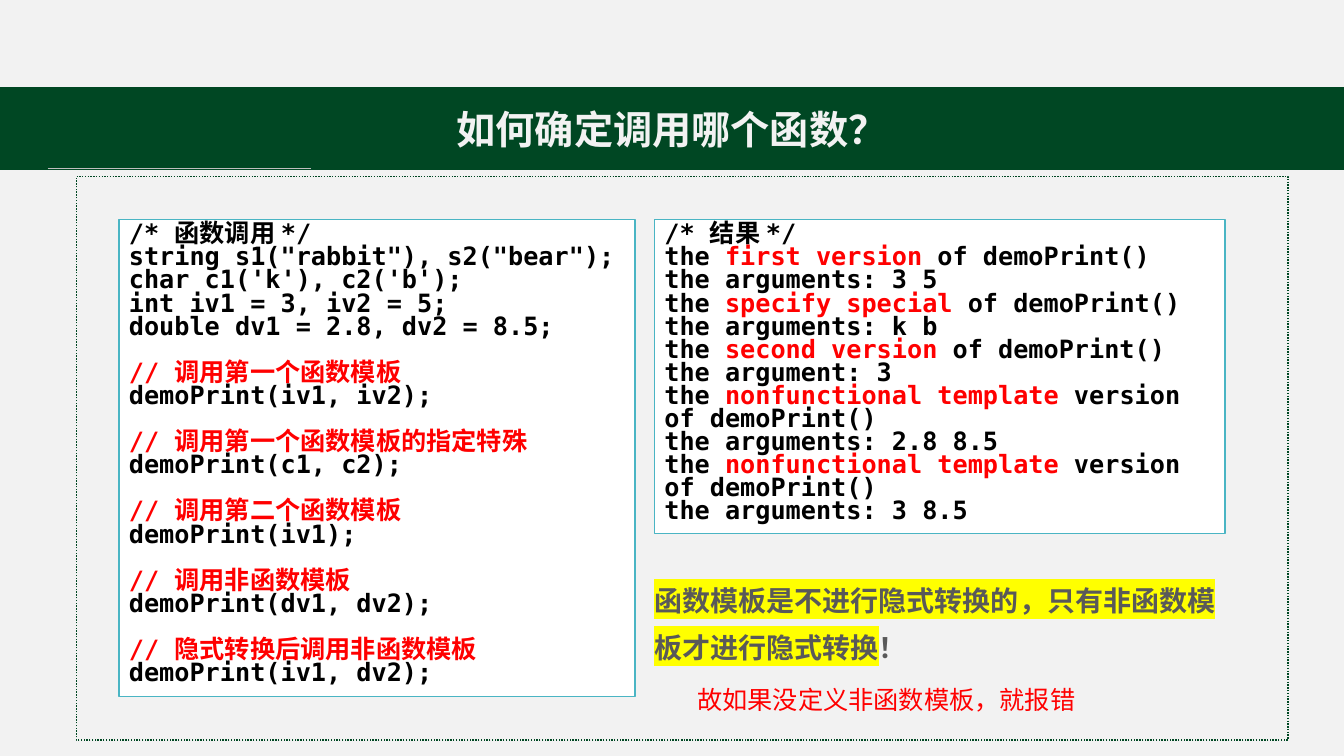
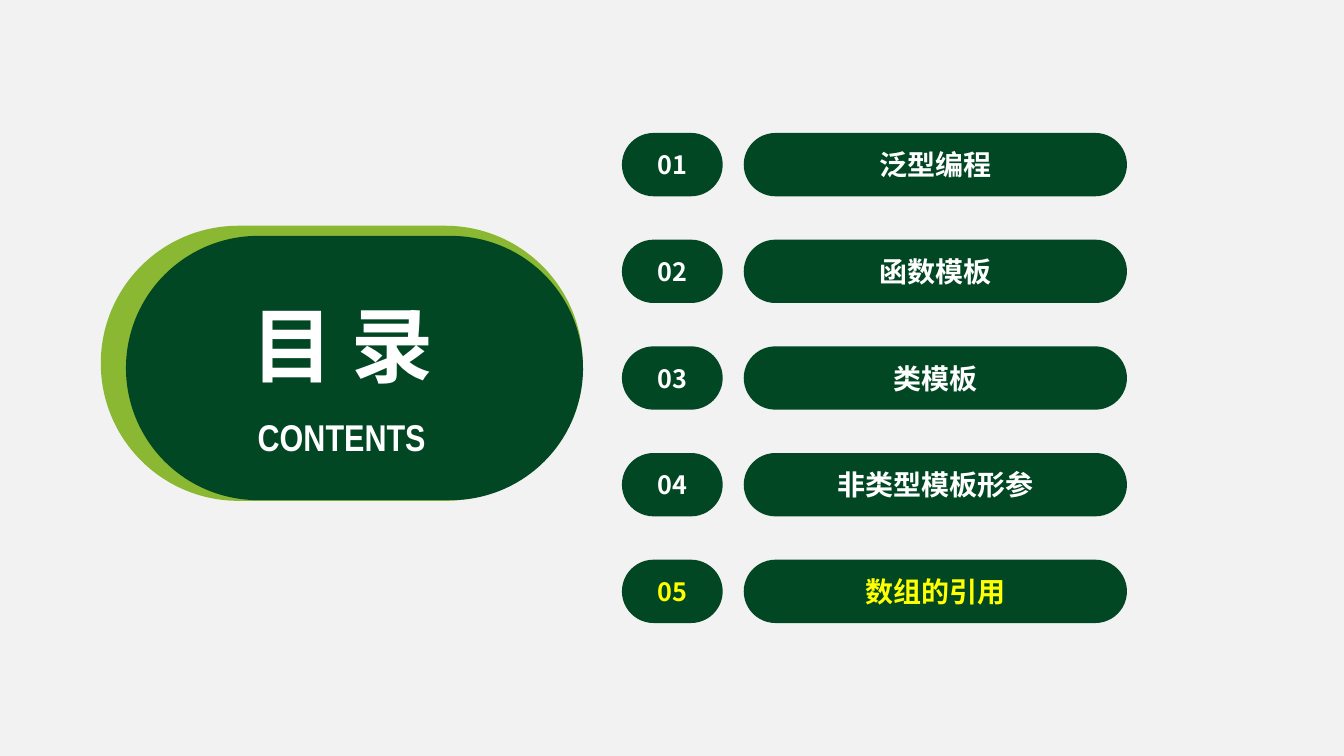
from lxml.etree import SubElement
from pptx import Presentation
from pptx.dml.color import RGBColor
from pptx.enum.dml import MSO_LINE_DASH_STYLE as DASH
from pptx.enum.shapes import MSO_CONNECTOR as CONN, MSO_SHAPE as SHAPE
from pptx.enum.text import MSO_ANCHOR as ANCHOR, PP_ALIGN as ALIGN
from pptx.oxml.ns import qn
from pptx.util import Pt

SANS, MONO, NARROW = "Noto Sans CJK SC", "DejaVu Sans Mono", "Arial Narrow"
PAPER, WHITE, BLACK, GRAY = "F2F2F2", "FFFFFF", "000000", "595959"
BAND, PILL, LIME, TEAL, RULE = "004723", "014723", "8AB833", "4AB5C4", "BFBFBF"
RED, YELLOW = "FF0000", "FFFF00"
WIDTH, HEIGHT = 960, 540

CALLS = """/* 函数调用 */
string s1("rabbit"), s2("bear");
char c1('k'), c2('b');
int iv1 = 3, iv2 = 5;
double dv1 = 2.8, dv2 = 8.5;
// 调用第一个函数模板
demoPrint(iv1, iv2);
// 调用第一个函数模板的指定特殊
demoPrint(c1, c2);
// 调用第二个函数模板
demoPrint(iv1);
// 调用非函数模板
demoPrint(dv1, dv2);
// 隐式转换后调用非函数模板
demoPrint(iv1, dv2);"""

# Text between bars is set in red.
RESULTS = """/* 结果 */
the |first version| of demoPrint()
the arguments: 3 5
the |specify special| of demoPrint()
the arguments: k b
the |second version| of demoPrint()
the argument: 3
the |nonfunctional template| version of demoPrint()
the arguments: 2.8 8.5
the |nonfunctional template| version of demoPrint()
the arguments: 3 8.5"""

TOPICS = ["泛型编程", "函数模板", "类模板", "非类型模板形参", "数组的引用"]


def rgb(color):
    return RGBColor.from_string(color)


class Deck:
    def __init__(self):
        self.prs = Presentation()
        self.prs.slide_width, self.prs.slide_height = Pt(WIDTH), Pt(HEIGHT)
        self.s = None

    def slide(self):
        self.s = self.prs.slides.add_slide(self.prs.slide_layouts[6])
        fill = self.s.background.fill
        fill.solid()
        fill.fore_color.rgb = rgb(PAPER)

    def shape(self, kind, x, y, w, h, fill=None, line=None, dash=None):
        sp = self.s.shapes.add_shape(kind, Pt(x), Pt(y), Pt(w), Pt(h))
        sp.shadow.inherit = False
        if fill:
            sp.fill.solid()
            sp.fill.fore_color.rgb = rgb(fill)
        else:
            sp.fill.background()
        if line:
            sp.line.color.rgb = rgb(line)
            sp.line.width = Pt(1)
            sp.line.dash_style = dash
        else:
            sp.line.fill.background()
        return sp

    def pill(self, x, y, w, h, fill=PILL):
        sp = self.shape(SHAPE.ROUNDED_RECTANGLE, x, y, w, h, fill)
        sp.adjustments[0] = 0.5
        return sp

    def rule(self, x1, x2, y):
        line = self.s.shapes.add_connector(CONN.STRAIGHT, Pt(x1), Pt(y), Pt(x2), Pt(y))
        line.line.color.rgb = rgb(RULE)
        line.line.width = Pt(0.5)
        SubElement(line._element.spPr, qn("a:effectLst"))

    def style(self, p, size, color, font=SANS, bold=True, align=ALIGN.CENTER):
        """Set one paragraph's font, with the sans face for Chinese."""
        p.alignment = align
        p.font.size, p.font.bold, p.font.name = Pt(size), bold, font
        p.font.color.rgb = rgb(color)
        SubElement(p._p.pPr.find(qn("a:defRPr")), qn("a:ea"), typeface=SANS)

    def label(self, sp, text, size, color):
        sp.text_frame.vertical_anchor = ANCHOR.MIDDLE
        p = sp.text_frame.paragraphs[0]
        p.text = text
        self.style(p, size, color)

    def text(self, x, y, w, h, text, size, color, wrap=True, **style):
        tf = self.s.shapes.add_textbox(Pt(x), Pt(y), Pt(w), Pt(h)).text_frame
        tf.word_wrap = wrap
        p = tf.paragraphs[0]
        p.text = text
        self.style(p, size, color, **style)
        return tf

    def highlight(self, r, color):
        mark = SubElement(r._r.get_or_add_rPr(), qn("a:highlight"))
        SubElement(mark, qn("a:srgbClr"), val=color)

    def title(self, text):
        band = self.shape(SHAPE.RECTANGLE, 0, 62.5, WIDTH, 58.5, BAND, BAND)
        self.label(band, text, 28, PAPER)
        self.rule(34, 222.5, 120.25)
        self.shape(SHAPE.RECTANGLE, 54.5, 126, 865.5, 402.5, line=BAND,
                   dash=DASH.ROUND_DOT)

    def code(self, x, y, w, h, source):
        """Framed listing: line comments are red and open a new group."""
        tf = self.shape(SHAPE.RECTANGLE, x, y, w, h, WHITE, TEAL).text_frame
        tf.word_wrap = True
        tf.vertical_anchor = ANCHOR.TOP
        for i, line in enumerate(source.split("\n")):
            p = tf.add_paragraph() if i else tf.paragraphs[0]
            p.line_spacing = Pt(16.5)
            comment = line.startswith("//")
            if comment:
                p.space_before = Pt(16.5)
            for j, part in enumerate(line.split("|")):
                r = p.add_run()
                r.text = part
                if j % 2:
                    r.font.color.rgb = rgb(RED)
            self.style(p, 18, RED if comment else BLACK, MONO, align=ALIGN.LEFT)


def add_call_slide(deck):
    deck.slide()
    deck.title("如何确定调用哪个函数？")
    deck.code(85, 157, 368.5, 340.5, CALLS)
    deck.code(467.5, 157, 407.5, 224, RESULTS)

    tf = deck.text(467.5, 407, 407.5, 67.5,
                   "函数模板是不进行隐式转换的，只有非函数模板才进行隐式转换",
                   20, GRAY, align=ALIGN.LEFT)
    tf.margin_left = tf.margin_right = tf.margin_top = tf.margin_bottom = 0
    p = tf.paragraphs[0]
    p.line_spacing = 1.4
    deck.highlight(p.runs[0], YELLOW)
    p.add_run().text = "！"

    deck.text(491, 485.5, 293, 29, "故如果没定义非函数模板，就报错", 18, RED,
              bold=False, align=ALIGN.LEFT)


def add_contents_slide(deck):
    deck.slide()
    deck.pill(72, 161.25, 344.25, 196.5, LIME)
    deck.pill(90, 168.5, 326.5, 188.75)
    for i, topic in enumerate(TOPICS):
        y = 95 + 76.2 * i
        color = YELLOW if topic == TOPICS[-1] else WHITE
        deck.label(deck.pill(444.25, y, 72, 45.25), f"{i + 1:02}", 18, color)
        deck.label(deck.pill(531.25, y, 273.75, 45.25), topic, 20, color)
    deck.text(162.75, 292.25, 162.75, 39.5, "CONTENTS", 26.6, WHITE, wrap=False,
              font=NARROW)
    deck.text(169.25, 206.75, 150.5, 78.5, "目 录", 58.6, WHITE, wrap=False)


def main():
    deck = Deck()
    add_call_slide(deck)
    add_contents_slide(deck)
    deck.prs.save("out.pptx")


if __name__ == "__main__":
    main()
